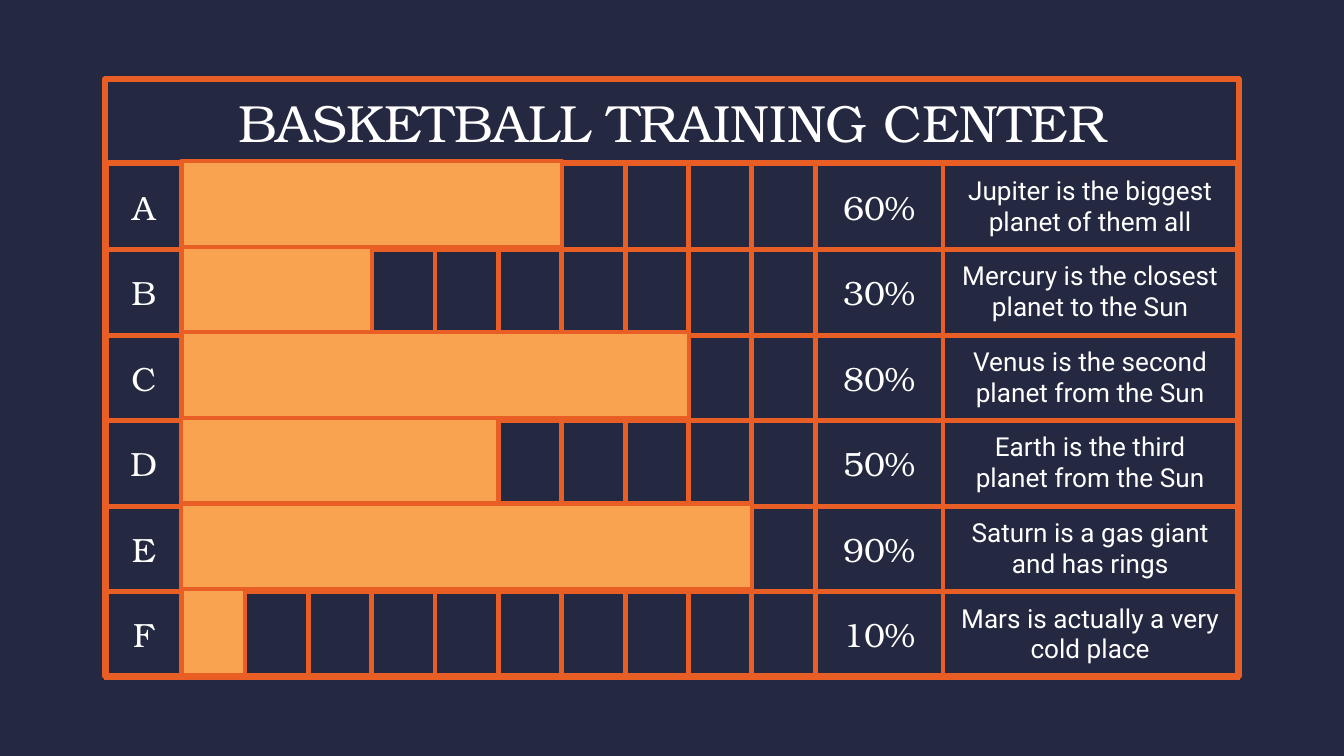
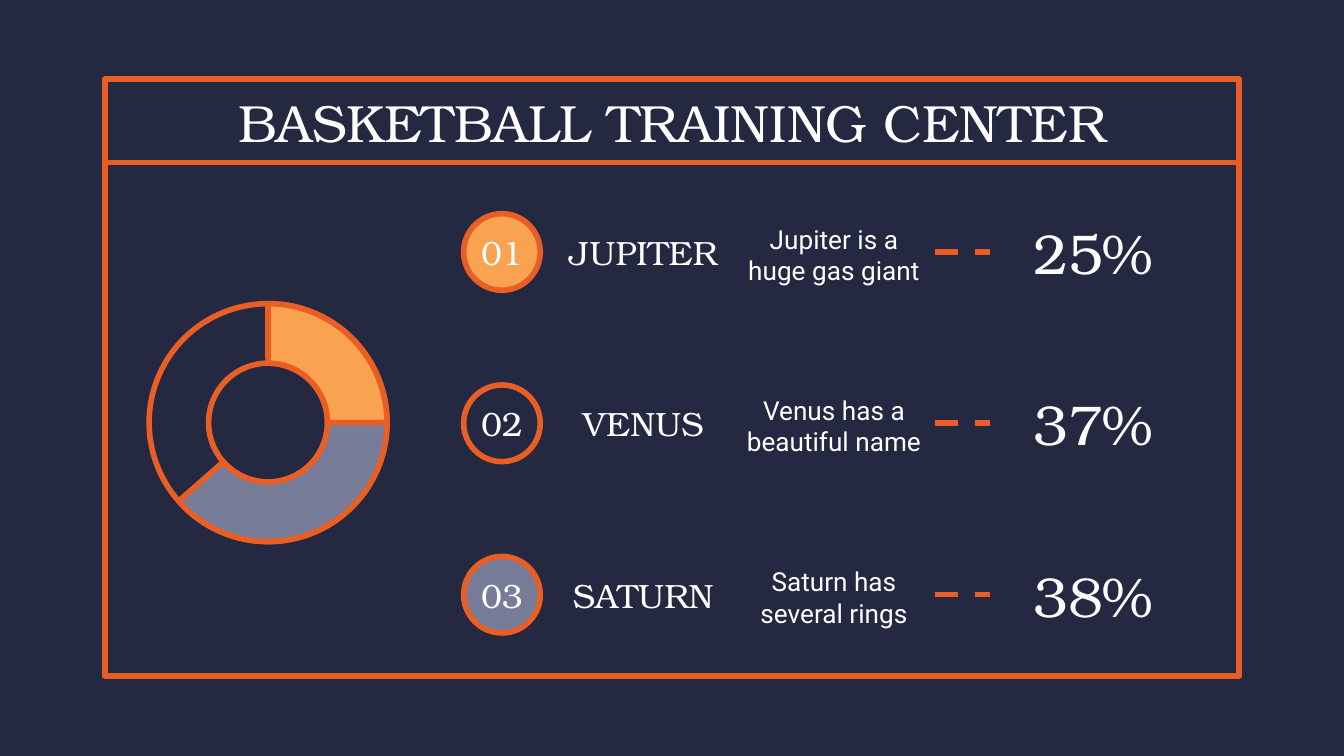
"""Builds two training center infographics: a progress table and a donut legend."""
from dataclasses import dataclass
from typing import Any

from lxml.etree import SubElement
from pptx import Presentation
from pptx.dml.color import RGBColor
from pptx.enum.dml import MSO_LINE
from pptx.enum.shapes import MSO_CONNECTOR, MSO_SHAPE
from pptx.enum.text import MSO_ANCHOR, MSO_AUTO_SIZE, PP_ALIGN
from pptx.oxml.ns import qn
from pptx.util import Inches, Pt

COLORS = {"night": "242841", "edge": "E95E24", "amber": "F9A350", "slate": "777D99", "white": "FFFFFF"}
SERIF, SANS = "TeX Gyre Bonum", "Roboto"
TITLE = "BASKETBALL TRAINING CENTER"
PAD = Inches(0.1)
FRAME = {"left": Inches(0.78), "top": Inches(0.59), "width": Inches(8.44), "height": Inches(4.44)}
TITLE_BOX = {**FRAME, "height": Inches(0.63)}
TEXT_FRAME = {"word_wrap": True, "auto_size": MSO_AUTO_SIZE.NONE, "margin_left": PAD,
              "margin_top": PAD, "margin_right": PAD, "margin_bottom": PAD}
CELL = {"vertical_anchor": MSO_ANCHOR.MIDDLE, "margin_left": PAD, "margin_right": PAD,
        "margin_top": Inches(0.07), "margin_bottom": Inches(0.07)}

GRID_LEFT, GRID_TOP = Inches(0.79), Inches(1.22)
BARS_LEFT, BARS_TOP = Inches(1.35), Inches(1.2)
STEPS = 10
STEP = Inches(4.72) // STEPS
ROW = Inches(3.82) // 6
COLUMNS = [Inches(0.56), *[STEP] * STEPS, Inches(0.95), Inches(2.19)]

LEGEND_TOP, LEGEND_PITCH, LEGEND_HEIGHT = Inches(1.56), Inches(1.275), Inches(0.63)
DONUT = (Inches(1.11), Inches(2.26), Inches(1.77), Inches(1.77))


@dataclass(frozen=True)
class Progress:
    """One row of the progress table."""
    label: str
    percent: int
    fact: str


@dataclass(frozen=True)
class Planet:
    """One legend entry of the donut."""
    name: str
    fact: str
    share: str
    color: str


@dataclass(frozen=True)
class Sector:
    """One filled part of the donut, in degrees clockwise from the right."""
    start: float
    end: float
    color: str


PROGRESS = [
    Progress("A", 60, "Jupiter is the biggest planet of them all"),
    Progress("B", 30, "Mercury is the closest planet to the Sun"),
    Progress("C", 80, "Venus is the second planet from the Sun"),
    Progress("D", 50, "Earth is the third planet from the Sun"),
    Progress("E", 90, "Saturn is a gas giant and has rings"),
    Progress("F", 10, "Mars is actually a very cold place"),
]
PLANETS = [
    Planet("JUPITER", "Jupiter is a huge gas giant", "25%", "amber"),
    Planet("VENUS", "Venus has a beautiful name", "37%", "night"),
    Planet("SATURN", "Saturn has several rings", "38%", "slate"),
]
SECTORS = [Sector(270, 0, "amber"), Sector(0, 138.7, "slate")]


def rgb(color: str) -> RGBColor:
    """Return a palette colour."""
    return RGBColor.from_string(COLORS[color])


def apply(target: Any, values: dict[str, Any]) -> None:
    """Set each attribute of the target from the format values."""
    for attribute, value in values.items():
        setattr(target, attribute, value)


def write(text_frame: Any, text: str, size: float, font: str = SERIF, space_after: float = 0) -> None:
    """Write one centred white paragraph."""
    paragraph = text_frame.paragraphs[0]
    apply(paragraph, {"alignment": PP_ALIGN.CENTER, "space_after": Pt(space_after)})
    run = paragraph.add_run()
    run.text = text
    apply(run.font, {"size": Pt(size), "name": font})
    run.font.color.rgb = rgb("white")


def outline(line: Any, width: float = 3) -> None:
    """Give a line the edge colour."""
    line.color.rgb = rgb("edge")
    line.width = Pt(width)


def add_outlined(slide: Any, kind: MSO_SHAPE, box: tuple, fill: str | None, width: float = 3) -> Any:
    """Draw an outlined preset shape without a shadow."""
    shape = slide.shapes.add_shape(kind, *box)
    shape.shadow.inherit = False
    if fill:
        shape.fill.solid()
        shape.fill.fore_color.rgb = rgb(fill)
    else:
        shape.fill.background()
    outline(shape.line, width)
    return shape


def add_rule(slide: Any, kind: MSO_CONNECTOR, left: int, right: int, y: int) -> Any:
    """Draw a horizontal connector without a shadow."""
    rule = slide.shapes.add_connector(kind, left, y, right, y)
    outline(rule.line)
    SubElement(rule._element.spPr, qn("a:effectLst"))
    return rule


def add_label(slide: Any, box: tuple, text: str, size: float, font: str = SERIF,
              anchor: MSO_ANCHOR = MSO_ANCHOR.MIDDLE, space_after: float = 12) -> None:
    """Draw a wrapped text box."""
    text_frame = slide.shapes.add_textbox(*box).text_frame
    apply(text_frame, {**TEXT_FRAME, "vertical_anchor": anchor})
    write(text_frame, text, size, font, space_after)


def add_framed_slide(deck: Any) -> Any:
    """Add a slide with the shared frame and title."""
    slide = deck.slides.add_slide(deck.slide_layouts[5])
    add_outlined(slide, MSO_SHAPE.RECTANGLE, tuple(FRAME.values()), None)
    add_rule(slide, MSO_CONNECTOR.STRAIGHT, Inches(0.8), Inches(9.2), Inches(1.21))
    title = slide.shapes.title
    apply(title, TITLE_BOX)
    apply(title.text_frame, {**TEXT_FRAME, "vertical_anchor": MSO_ANCHOR.MIDDLE})
    write(title.text_frame, TITLE, 28)
    return slide


def format_cell(cell: Any) -> None:
    """Give a cell edge borders and no fill."""
    apply(cell, CELL)
    properties = cell._tc.get_or_add_tcPr()
    for side in ("lnL", "lnR", "lnT", "lnB"):
        border = SubElement(properties, qn(f"a:{side}"), w=str(Pt(3)))
        SubElement(SubElement(border, qn("a:solidFill")), qn("a:srgbClr"), val=COLORS["edge"])
    cell.fill.background()


def build_progress(deck: Any) -> None:
    """Build the table with its progress bars."""
    slide = add_framed_slide(deck)
    table = slide.shapes.add_table(len(PROGRESS), len(COLUMNS), GRID_LEFT, GRID_TOP,
                                   sum(COLUMNS), ROW * len(PROGRESS)).table
    apply(table, {"first_row": False, "horz_banding": False})
    for column, width in zip(table.columns, COLUMNS):
        column.width = width
    for cell in table.iter_cells():
        format_cell(cell)
    for index, item in enumerate(PROGRESS):
        table.rows[index].height = ROW
        write(table.cell(index, 0).text_frame, item.label, 18)
        write(table.cell(index, STEPS + 1).text_frame, f"{item.percent}%", 18)
        write(table.cell(index, STEPS + 2).text_frame, item.fact, 14, SANS)
        bar = (BARS_LEFT, BARS_TOP + index * ROW, STEP * STEPS * item.percent // 100, ROW)
        add_outlined(slide, MSO_SHAPE.RECTANGLE, bar, "amber", 2.25)


def build_shares(deck: Any) -> None:
    """Build the donut with its legend."""
    slide = add_framed_slide(deck)
    ring = add_outlined(slide, MSO_SHAPE.DONUT, DONUT, "night")
    ring.adjustments[0] = 0.25
    for sector in SECTORS:
        arc = add_outlined(slide, MSO_SHAPE.BLOCK_ARC, DONUT, sector.color)
        for index, value in enumerate((sector.start * 0.6, sector.end * 0.6, 0.25)):
            arc.adjustments[index] = value
    for index, planet in enumerate(PLANETS):
        top = LEGEND_TOP + index * LEGEND_PITCH
        badge_box = (Inches(3.45), top + Inches(0.03), Inches(0.57), Inches(0.57))
        badge = add_outlined(slide, MSO_SHAPE.OVAL, badge_box, planet.color)
        apply(badge.text_frame, {**TEXT_FRAME, "margin_left": 0, "margin_right": 0,
                                 "vertical_anchor": MSO_ANCHOR.MIDDLE})
        write(badge.text_frame, f"{index + 1:02}", 18)
        add_label(slide, (Inches(4.03), top, Inches(1.51), LEGEND_HEIGHT), planet.name, 18)
        add_label(slide, (Inches(5.45), top, Inches(1.51), LEGEND_HEIGHT), planet.fact, 14,
                  SANS, MSO_ANCHOR.TOP, 0)
        add_label(slide, (Inches(7.37), top, Inches(1.53), LEGEND_HEIGHT), planet.share, 30)
        dash = add_rule(slide, MSO_CONNECTOR.ELBOW, Inches(6.96), Inches(7.37),
                        top + LEGEND_HEIGHT // 2)
        dash.line.dash_style = MSO_LINE.DASH


def main() -> None:
    """Build and save the deck."""
    deck = Presentation()
    apply(deck, {"slide_width": Inches(10), "slide_height": Inches(10) * 9 // 16})
    background = deck.slide_master.background.fill
    background.solid()
    background.fore_color.rgb = rgb("night")
    build_progress(deck)
    build_shares(deck)
    deck.save("out.pptx")


if __name__ == "__main__":
    main()
